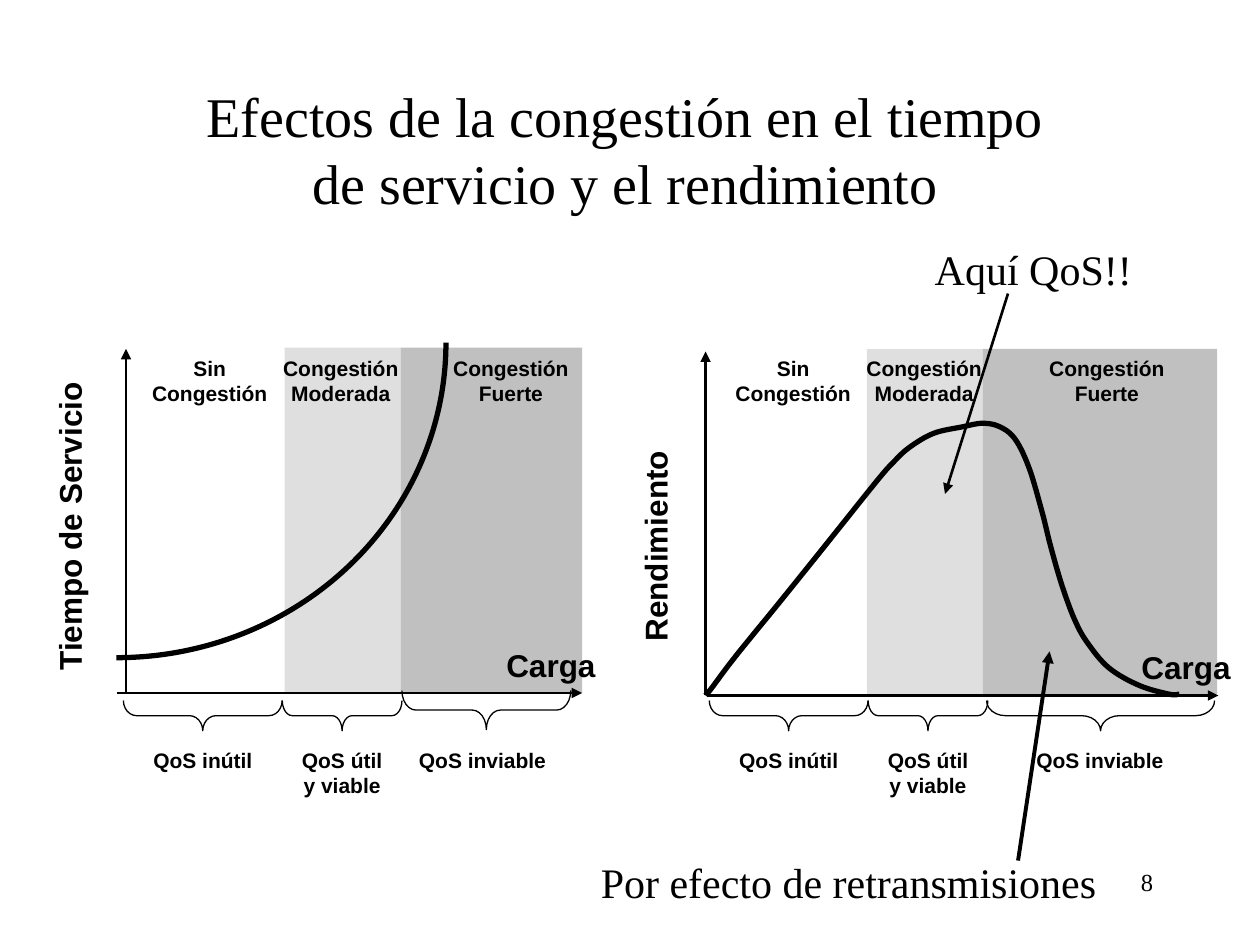
from lxml import etree
from pptx import Presentation
from pptx.dml.color import RGBColor
from pptx.enum.shapes import MSO_CONNECTOR, MSO_SHAPE
from pptx.enum.text import MSO_AUTO_SIZE, PP_ALIGN
from pptx.oxml.ns import qn
from pptx.util import Inches, Pt

STRAIGHT = MSO_CONNECTOR.STRAIGHT
RECT, ARC, BRACE = MSO_SHAPE.RECTANGLE, MSO_SHAPE.ARC, MSO_SHAPE.LEFT_BRACE
LEFT, MID, RIGHT = PP_ALIGN.LEFT, PP_ALIGN.CENTER, PP_ALIGN.RIGHT
GROW = MSO_AUTO_SIZE.SHAPE_TO_FIT_TEXT

LOADS = [
    (5.6, 5.52), (5.65, 5.46), (5.83, 5.22), (6.18, 4.79), (6.51, 4.38),
    (6.95, 3.83), (7.09, 3.67), (7.22, 3.55), (7.41, 3.44), (7.63, 3.39),
    (7.8, 3.36), (7.94, 3.39), (8.06, 3.49), (8.17, 3.72), (8.27, 4.06),
    (8.34, 4.34), (8.43, 4.65), (8.53, 4.92), (8.63, 5.1), (8.8, 5.3),
    (9.04, 5.44), (9.28, 5.51), (9.36, 5.51),
]


def color(code):
    """Turn a hex string into a colour."""
    return RGBColor.from_string(code)


def smooth(knots, steps=8):
    """Return points on a Catmull-Rom curve through the knots."""
    ends = [knots[0], *knots, knots[-1]]
    points = [knots[0]]
    for a, b, c, d in zip(ends, ends[1:], ends[2:], ends[3:]):
        for step in range(1, steps + 1):
            t = step / steps
            points.append(tuple(
                (2 * q + (r - p) * t + (2 * p - 5 * q + 4 * r - s) * t ** 2
                 + (3 * q - p - 3 * r + s) * t ** 3) / 2
                for p, q, r, s in zip(a, b, c, d)))
    return points


class Deck:
    """Hold the style and the current slide."""

    ink, gray = "000000", "C0C0C0"
    sans, serif = "Arial", "Times New Roman"

    def __init__(self):
        """Open a blank slide."""
        self.show = Presentation()
        self.show.slide_width = Inches(10)
        self.show.slide_height = Inches(7.5)
        self.slide = self.show.slides.add_slide(self.show.slide_layouts[6])
        self.shapes = self.slide.shapes

    def text(self, words, x, y, w, h, size=12, font=sans, bold=True,
             align=MID, wrap=True, turn=0, grow=True):
        """Add a text box with one paragraph per line."""
        box = self.shapes.add_textbox(*map(Inches, (x, y, w, h)))
        box.rotation = turn
        frame = box.text_frame
        frame.text = words
        frame.word_wrap = wrap
        if not wrap:
            frame.margin_right = 0
            frame.margin_left = 0 if align == MID else Inches(0.1)
        if grow:
            frame.auto_size = GROW
        for para in frame.paragraphs:
            para.alignment = align
            para.font.size = Pt(size)
            para.font.name = font
            para.font.bold = bold
            para.font.color.rgb = color(self.ink)

    def stroke(self, shape, width):
        """Give a shape an outline only."""
        shape.shadow.inherit = False
        shape.fill.background()
        shape.line.color.rgb = color(self.ink)
        shape.line.width = Pt(width)

    def band(self, x, y, w, h, alpha=100):
        """Add a gray zone, opaque or not."""
        zone = self.shapes.add_shape(RECT, *map(Inches, (x, y, w, h)))
        zone.shadow.inherit = False
        zone.line.fill.background()
        zone.fill.solid()
        zone.fill.fore_color.rgb = color(self.gray)
        if alpha < 100:
            tone = zone._element.spPr.find(".//" + qn("a:srgbClr"))
            etree.SubElement(tone, qn("a:alpha"), val=str(alpha * 1000))

    def arrow(self, x, y, to_x, to_y, width=1.5):
        """Add a line with a head at its end."""
        line = self.shapes.add_connector(
            STRAIGHT, *map(Inches, (x, y, to_x, to_y)))
        line.line.color.rgb = color(self.ink)
        line.line.width = Pt(width)
        props = line._element.spPr
        etree.SubElement(props.find(qn("a:ln")), qn("a:tailEnd"), type="triangle")
        etree.SubElement(props, qn("a:effectLst"))

    def curve(self, knots):
        """Draw a smooth open curve."""
        points = [tuple(map(Inches, point)) for point in smooth(knots)]
        build = self.shapes.build_freeform(*points[0])
        build.add_line_segments(points[1:], close=False)
        self.stroke(build.convert_to_shape(), 3)

    def arc(self, x, y, w, h):
        """Draw the lower right quarter of an ellipse."""
        shape = self.shapes.add_shape(ARC, *map(Inches, (x, y, w, h)))
        shape.adjustments[0] = 0
        shape.adjustments[1] = 54
        self.stroke(shape, 3)

    def brace(self, x, y, span, deep):
        """Add a brace that points down."""
        left, top = x + (span - deep) / 2, y + (deep - span) / 2
        shape = self.shapes.add_shape(
            BRACE, *map(Inches, (left, top, deep, span)))
        shape.rotation = 270
        shape.adjustments[0] = span / 12 / deep
        self.stroke(shape, 0.75)

    def zones(self, x, top, strong):
        """Add the two gray zones of a chart."""
        self.band(x, top, 0.92, 2.75, alpha=50)
        self.band(x + 0.92, top, strong, 2.74)

    def labels(self, heads, feet, braces):
        """Name the three zones above and below."""
        names = ("Sin\nCongestión", "Congestión\nModerada", "Congestión\nFuerte")
        for name, x in zip(names, heads):
            self.text(name, x, 2.77, 1.11, 0.5, wrap=False)
        notes = (("QoS inútil", 1.02, 0.3), ("QoS útil y viable", 0.95, 0.5),
                 ("QoS inviable", 1.26, 0.3))
        for (note, w, h), x in zip(notes, feet):
            self.text(note, x, 5.88, w, h)
        for brace in braces:
            self.brace(*brace)

    def axis(self, name, spot, load):
        """Name the upright and the level axis."""
        self.text(name, *spot, 0.4, size=18, align=LEFT, turn=270)
        self.text("Carga", *load, 0.4, size=18, align=LEFT)


def main():
    """Build the slide."""
    deck = Deck()
    deck.zones(6.88, 2.77, 1.86)
    deck.axis("Rendimiento", (4.24, 4.03, 1.92), (8.96, 5.09, 1.08))
    deck.arrow(5.6, 5.52, 5.6, 2.79)
    deck.arrow(5.61, 5.52, 9.67, 5.52)
    deck.curve(LOADS)
    deck.labels((5.74, 6.78, 8.23), (5.75, 6.89, 8.1),
                ((5.63, 5.56, 1.26, 0.24), (6.89, 5.56, 0.95, 0.24),
                 (7.83, 5.56, 1.81, 0.24)))

    deck.text("Efectos de la congestión en el tiempo de servicio y el rendimiento",
              1.5, 0.6, 6.93, 1.17, size=32, font=deck.serif, bold=False)

    deck.zones(2.26, 2.76, 1.44)
    deck.axis("Tiempo de Servicio", (-0.74, 3.93, 2.58), (3.92, 5.08, 1))
    deck.arrow(1, 5.5, 1, 2.77)
    deck.arrow(0.93, 5.5, 4.62, 5.5)
    deck.arc(-1.69, 0.22, 5.23, 5)
    deck.labels((1.11, 2.15, 3.5), (1.1, 2.24, 3.2),
                ((0.98, 5.56, 1.26, 0.24), (2.24, 5.56, 0.95, 0.24),
                 (3.19, 5.48, 1.34, 0.31)))

    plain = {"font": deck.serif, "bold": False}
    deck.arrow(8.08, 6.83, 8.33, 5.17, width=2.25)
    deck.text("Por efecto de retransmisiones", 4.67, 6.75, 4.13, 0.5,
              size=24, align=LEFT, wrap=False, **plain)
    deck.arrow(8, 2.33, 7.5, 3.92)
    deck.text("Aquí QoS!!", 7.32, 1.88, 1.76, 0.5,
              size=24, align=LEFT, wrap=False, **plain)
    deck.text("8", 7.17, 6.83, 2.08, 0.5, size=14, align=RIGHT, grow=False, **plain)
    deck.show.save("out.pptx")


if __name__ == "__main__":
    main()
